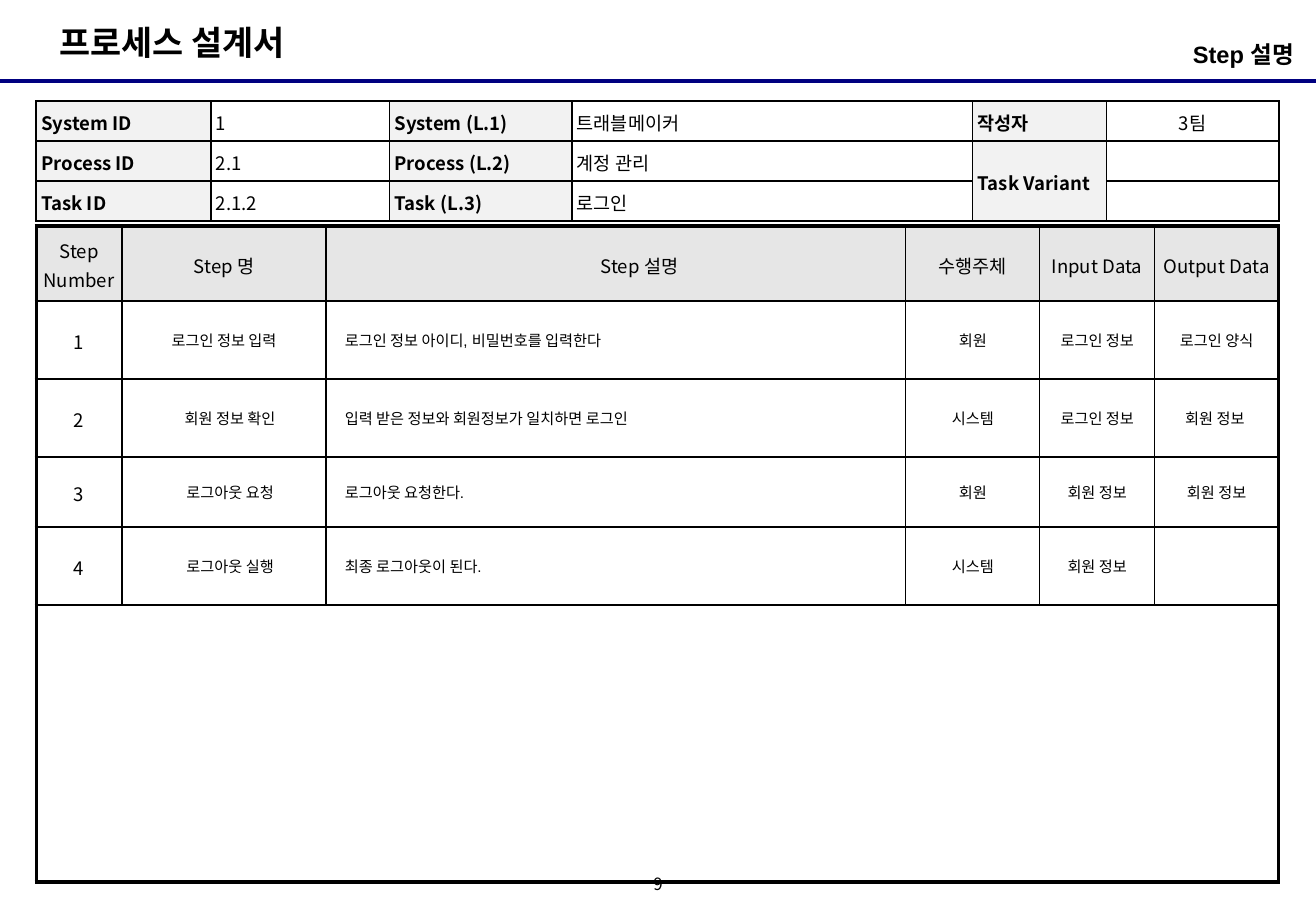
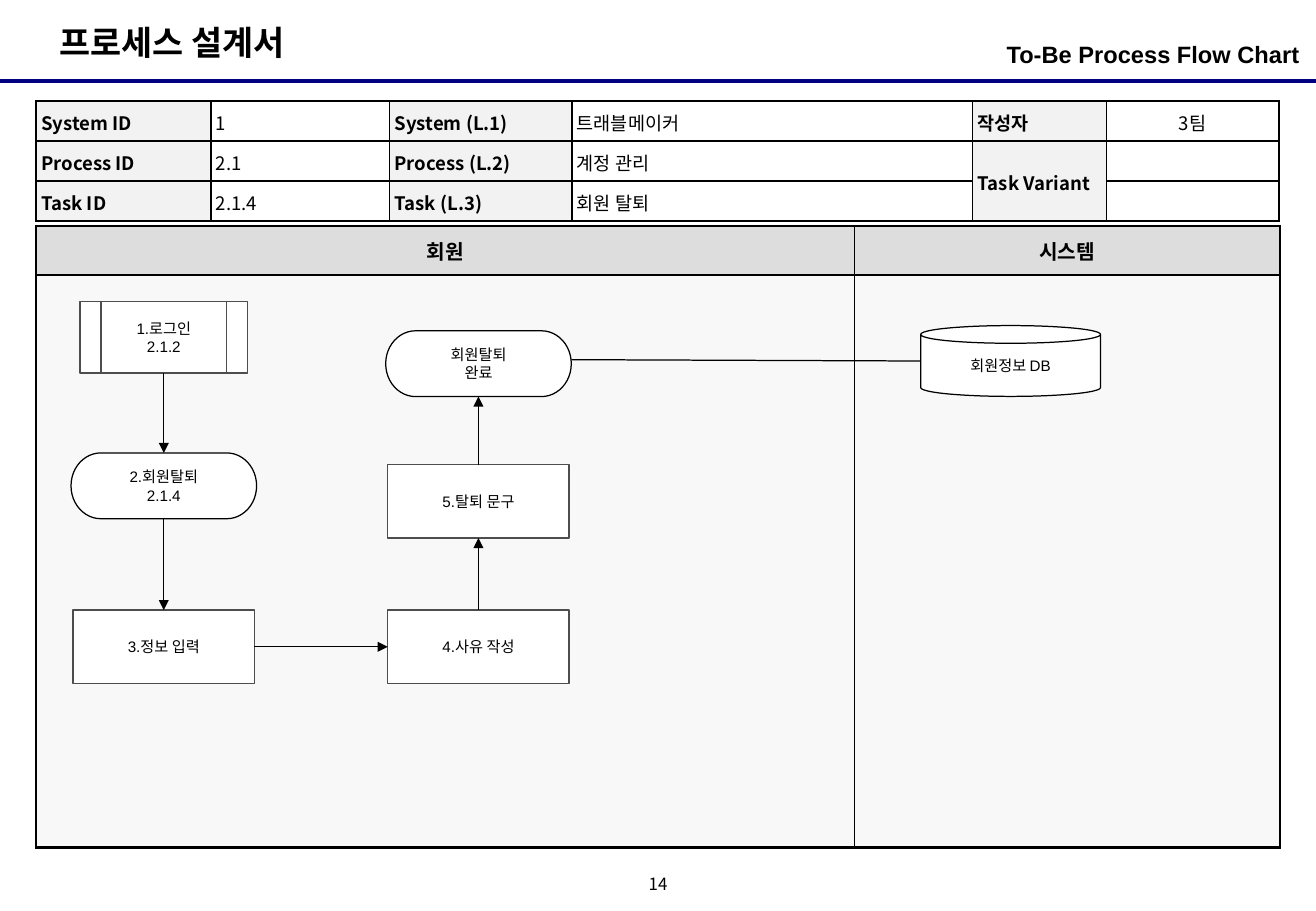
from lxml.etree import SubElement
from pptx import Presentation
from pptx.dml.color import RGBColor
from pptx.enum.shapes import MSO_CONNECTOR, MSO_SHAPE
from pptx.enum.text import MSO_ANCHOR, MSO_AUTO_SIZE, PP_ALIGN
from pptx.oxml.ns import qn
from pptx.util import Pt

BLACK = RGBColor(0x00, 0x00, 0x00)
WHITE = RGBColor(0xFF, 0xFF, 0xFF)
NAVY = RGBColor(0x00, 0x00, 0x80)
DARK_GRAY = RGBColor(0x4D, 0x4D, 0x4D)
LABEL_GRAY = RGBColor(0xF2, 0xF2, 0xF2)
STEP_GRAY = RGBColor(0xE6, 0xE6, 0xE6)
LANE_HEADER_GRAY = RGBColor(0xDD, 0xDD, 0xDD)
LANE_GRAY = RGBColor(0xF8, 0xF8, 0xF8)

LATIN = "Arial"
KOREAN = "Noto Sans CJK KR"
TABLE_LEFT = 21.5
CENTER, LEFT, RIGHT = PP_ALIGN.CENTER, PP_ALIGN.LEFT, PP_ALIGN.RIGHT
TOP, MIDDLE = MSO_ANCHOR.TOP, MSO_ANCHOR.MIDDLE


class ProcessDeck:
    """Holds the presentation, its style and the slide being built."""

    def __init__(self):
        self.presentation = Presentation()
        self.presentation.slide_width = Pt(780)
        self.presentation.slide_height = Pt(540)
        self.slide = None

    def add_text(self, frame, text, size, font=LATIN, bold=False, align=LEFT,
                 anchor=TOP, spacing=1.0, indent=0):
        """Fill a text frame with one paragraph; newlines become line breaks."""
        frame.vertical_anchor = anchor
        paragraph = frame.paragraphs[0]
        paragraph.alignment = align
        paragraph.line_spacing = spacing
        paragraph.space_before = Pt(0)
        properties = paragraph._p.get_or_add_pPr()
        properties.set("marL", str(Pt(indent)))
        properties.set("indent", "0")
        SubElement(properties, qn("a:buNone"))
        for number, line in enumerate(text.split("\n")):
            if number:
                paragraph.add_line_break()
            run = paragraph.add_run()
            run.text = line
            run.font.size = Pt(size)
            run.font.bold = bold
            run.font.color.rgb = BLACK
            run.font.name = font
            SubElement(run._r.get_or_add_rPr(), qn("a:ea"), typeface=KOREAN)

    def set_margins(self, holder, horizontal, vertical):
        holder.margin_left = holder.margin_right = Pt(horizontal)
        holder.margin_top = holder.margin_bottom = Pt(vertical)

    def placeholder(self, shape, box, text, size, align, margin):
        shape.left, shape.top, shape.width, shape.height = map(Pt, box)
        frame = shape.text_frame
        frame.auto_size = MSO_AUTO_SIZE.NONE
        self.set_margins(frame, margin, 3.6)
        self.add_text(frame, text, size, bold=True, align=align)

    def new_slide(self, heading, page):
        """Start a slide with the title, heading, rule and page number."""
        layout = self.presentation.slide_layouts[1]
        self.slide = self.presentation.slides.add_slide(layout)
        title, body = self.slide.placeholders
        self.placeholder(title, (28, 9.4, 163, 31.7), "프로세스 설계서", 20, LEFT, 7.2)
        self.placeholder(body, (532, 20.2, 238.3, 28), heading, 14, RIGHT, 0)
        self.line((0, 48.2), (780, 48.2), NAVY, 2.25)
        page_box = self.slide.shapes.add_textbox(Pt(378), Pt(516), Pt(24), Pt(18))
        frame = page_box.text_frame
        frame.word_wrap = True
        self.set_margins(frame, 0, 0)
        self.add_text(frame, page, 10, KOREAN, align=CENTER, anchor=MIDDLE, spacing=0.8)

    def line(self, start, end, color=BLACK, width=0.75, arrow=False):
        connector = self.slide.shapes.add_connector(
            MSO_CONNECTOR.STRAIGHT, *map(Pt, start + end))
        connector.line.color.rgb = color
        connector.line.width = Pt(width)
        if arrow:
            SubElement(connector.line._get_or_add_ln(), qn("a:tailEnd"), type="triangle")
        SubElement(connector._element.spPr, qn("a:effectLst"))
        return connector

    def arrow(self, source, source_site, target, target_site):
        """Glue an arrow to two shapes; sites are 0 top, 1 left, 2 bottom, 3 right."""
        connector = self.line((0, 0), (0, 0), arrow=True)
        connector.begin_connect(source, source_site)
        connector.end_connect(target, target_site)

    def node(self, kind, center, size, text, outline=BLACK):
        (x, y), (width, height) = center, size
        shape = self.slide.shapes.add_shape(
            kind, Pt(x - width / 2), Pt(y - height / 2), Pt(width), Pt(height))
        shape.shadow.inherit = False
        shape.fill.solid()
        shape.fill.fore_color.rgb = WHITE
        shape.line.color.rgb = outline
        shape.line.width = Pt(0.75)
        self.set_margins(shape.text_frame, 7.2, 3.6)
        self.add_text(shape.text_frame, text, 9, align=CENTER, anchor=MIDDLE)
        return shape

    def table(self, top, widths, heights, merges=()):
        """Add an unfilled table without the built-in banding."""
        frame = self.slide.shapes.add_table(
            len(heights), len(widths), Pt(TABLE_LEFT), Pt(top),
            Pt(sum(widths)), Pt(sum(heights)))
        table = frame.table
        table.first_row = table.horz_banding = False
        for column, width in zip(table.columns, widths):
            column.width = Pt(width)
        for row, height in zip(table.rows, heights):
            row.height = Pt(height)
        for first_row, first_column, last_row, last_column in merges:
            table.cell(first_row, first_column).merge(table.cell(last_row, last_column))
        for cell in table.iter_cells():
            cell.fill.background()
        return table

    def cell(self, cell, text, fill=None, margins=(4, 2.9), size=11,
             anchor=MIDDLE, **style):
        self.set_margins(cell, *margins)
        if fill is not None:
            cell.fill.solid()
            cell.fill.fore_color.rgb = fill
        if text:
            self.add_text(cell.text_frame, text, size, **style)
            cell.vertical_anchor = anchor
        else:
            SubElement(cell.text_frame.paragraphs[0]._p, qn("a:endParaRPr"),
                       sz=str(size * 100))

    def borders(self, table, outer, inner, open_row=None):
        """Outer and inner lines; no upright inner lines from open_row down."""
        last_row, last_column = len(table.rows) - 1, len(table.columns) - 1
        for row in range(last_row + 1):
            for column in range(last_column + 1):
                cell = table.cell(row, column)
                between = 0 if cell.is_spanned else inner
                upright = 0 if open_row is not None and row >= open_row else between
                end_row = row + cell.span_height - 1
                end_column = column + cell.span_width - 1
                weights = {
                    "a:lnL": outer if column == 0 else upright,
                    "a:lnR": outer if end_column == last_column else upright,
                    "a:lnT": outer if row == 0 else between,
                    "a:lnB": outer if end_row == last_row else between,
                }
                properties = cell._tc.get_or_add_tcPr()
                for position, (tag, weight) in enumerate(weights.items()):
                    edge = SubElement(properties, qn(tag), w=str(Pt(weight)))
                    properties.insert(position, edge)
                    if weight:
                        fill = SubElement(edge, qn("a:solidFill"))
                        SubElement(fill, qn("a:srgbClr"), val=str(BLACK))
                    else:
                        SubElement(edge, qn("a:noFill"))

    def info_table(self, task_id, task_name):
        """The identification block above every sheet."""
        rows = [
            ("System ID", "1", "System (L.1)", "트래블메이커", "작성자", "3팀"),
            ("Process ID", "2.1", "Process (L.2)", "계정 관리", "Task Variant", ""),
            ("Task ID", task_id, "Task (L.3)", task_name, "", ""),
        ]
        table = self.table(60, (103.5, 106, 108, 237.6, 79.3, 102),
                           [23.7] * 3, [(1, 4, 2, 4)])
        for row, texts in enumerate(rows):
            for column, text in enumerate(texts):
                label = column % 2 == 0
                self.cell(table.cell(row, column), text, LABEL_GRAY if label else None,
                          (2.9, 2.9), font=KOREAN, bold=label, spacing=1.1,
                          align=CENTER if column == 5 else LEFT,
                          anchor=MIDDLE if column > 3 else TOP)
        self.borders(table, 1.5, 1)

    def step_table(self, headers, steps):
        blank_row = len(steps) + 1
        table = self.table(
            134, (50.8, 120.9, 343.7, 79.4, 68.1, 73.4),
            (44.5, 46.2, 46.2, 41.6, 46.2, 118.1, 46.1),
            [(blank_row, 0, blank_row + 1, 3), (blank_row, 4, blank_row + 1, 5)])
        for column, text in enumerate(headers):
            self.cell(table.cell(0, column), text, STEP_GRAY, font=KOREAN,
                      align=CENTER, spacing=1.1, indent=28 if column == 2 else 0)
        for row, texts in enumerate(steps, 1):
            self.cell(table.cell(row, 0), str(row), font=KOREAN, align=CENTER, spacing=1.1)
            for column, text in enumerate(texts, 1):
                indented = column == 2 or (column == 1 and row > 1)
                self.cell(table.cell(row, column), text, size=9,
                          align=LEFT if column == 2 else CENTER,
                          indent=7.2 if indented else 0)
        self.borders(table, 2.25, 1, open_row=blank_row)

    def lanes(self, names):
        table = self.table(134, (485, 252), (29, 339.4))
        for column, name in enumerate(names):
            self.cell(table.cell(0, column), name, LANE_HEADER_GRAY, (7.2, 3.6),
                      size=12, bold=True, align=CENTER)
            self.cell(table.cell(1, column), "", LANE_GRAY)
        self.borders(table, 1.5, 0.75)


def build_steps(deck):
    deck.new_slide("Step 설명 ", "9")
    deck.step_table(
        ("Step Number", "Step 명", "Step 설명", "수행주체", "Input Data", "Output Data"),
        [
            ("로그인 정보 입력", "로그인 정보 아이디, 비밀번호를 입력한다",
             "회원", "로그인 정보", "로그인 양식"),
            ("회원 정보 확인", "입력 받은 정보와 회원정보가 일치하면 로그인",
             "시스템", "로그인 정보", "회원 정보 "),
            ("로그아웃 요청", "로그아웃 요청한다.", "회원", "회원 정보", "회원 정보"),
            ("로그아웃 실행", "최종 로그아웃이 된다.", "시스템", "회원 정보", ""),
        ])
    deck.info_table("2.1.2", "로그인")


def build_flow(deck):
    deck.new_slide("To-Be Process Flow Chart", "14")
    deck.lanes(("회원", "시스템"))

    # Flow steps, placed on two column centres
    first, second = 97.1, 283.6
    box, pill = (107.5, 43.5), (110, 39)
    terminator = MSO_SHAPE.FLOWCHART_TERMINATOR
    login = deck.node(MSO_SHAPE.FLOWCHART_PREDEFINED_PROCESS, (first, 199.8),
                      (99.4, 42.5), "1.로그인\n2.1.2", DARK_GRAY)
    withdraw = deck.node(terminator, (first, 288), pill, "2.회원탈퇴\n2.1.4")
    details, reason, notice = [
        deck.node(MSO_SHAPE.RECTANGLE, center, box, text, DARK_GRAY)
        for center, text in (((first, 383.4), "3.정보 입력"),
                             ((second, 383.4), "4.사유 작성"),
                             ((second, 297.2), "5.탈퇴 문구"))]
    done = deck.node(terminator, (second, 215.6), pill, "회원탈퇴\n완료")
    deck.node(MSO_SHAPE.CAN, (599, 214), (106.6, 42), "회원정보 DB")

    # Links between the steps
    deck.arrow(login, 2, withdraw, 0)
    deck.arrow(withdraw, 2, details, 0)
    deck.arrow(details, 3, reason, 1)
    deck.arrow(reason, 0, notice, 2)
    deck.arrow(notice, 0, done, 2)
    deck.line((338.6, 213.2), (545.7, 214))
    deck.info_table("2.1.4", "회원 탈퇴")


def main():
    deck = ProcessDeck()
    build_steps(deck)
    build_flow(deck)
    deck.presentation.save("out.pptx")


if __name__ == "__main__":
    main()
